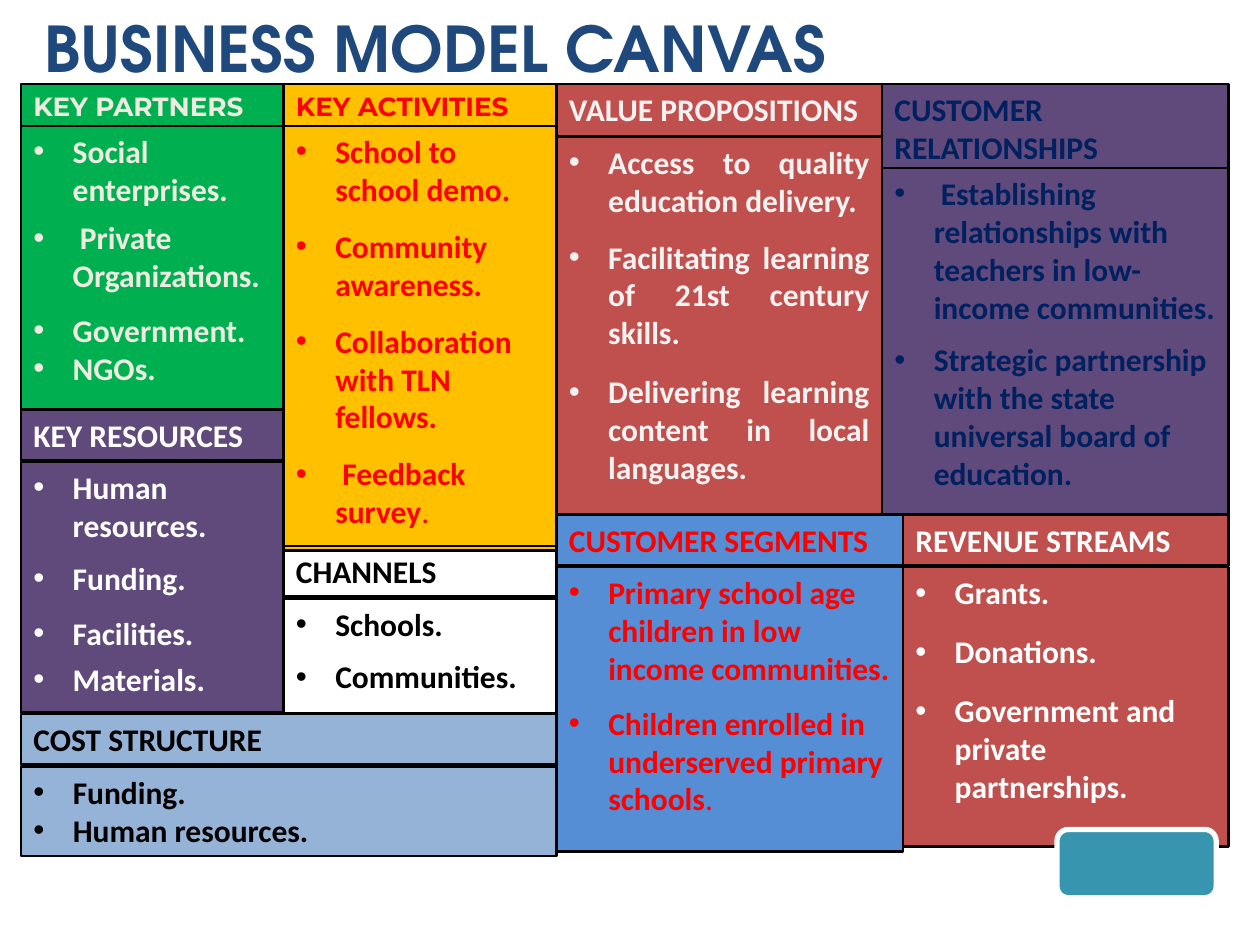
from pptx import Presentation
from pptx.dml.color import RGBColor
from pptx.enum import shapes, text
from pptx.oxml import parse_xml
from pptx.oxml import ns
from pptx.util import Pt

NAVY = RGBColor(0x1F, 0x49, 0x7D)
INK = RGBColor(0x00, 0x20, 0x60)
GREEN = RGBColor(0x00, 0xB0, 0x50)
GOLD = RGBColor(0xFF, 0xC0, 0x00)
BRICK = RGBColor(0xC0, 0x50, 0x4D)
PLUM = RGBColor(0x60, 0x4A, 0x7B)
BLUE = RGBColor(0x55, 0x8E, 0xD5)
SKY = RGBColor(0x95, 0xB3, 0xD7)
TEAL = RGBColor(0x37, 0x95, 0xAF)
CREAM = RGBColor(0xEE, 0xEC, 0xE1)
PALE = RGBColor(0xF2, 0xF2, 0xF2)
RED = RGBColor(0xFF, 0x00, 0x00)
WHITE = RGBColor(0xFF, 0xFF, 0xFF)
BLACK = RGBColor(0x00, 0x00, 0x00)

LEFT, JUST = text.PP_ALIGN.LEFT, text.PP_ALIGN.JUSTIFY
LEAD = 1.22
INDENT = Pt(22.5)
SERIF = ("Montserrat", 15)
PLAIN = ("Calibri", 18)

BLOCKS = [
    ((12, 48, 150, 199.7), 25, 24, GREEN, CREAM, "KEY PARTNERS", SERIF, LEFT, [
        (0, "Social enterprises."), (5, " Private Organizations."),
        (8, "Government."), (0, "NGOs.")]),
    ((162, 48, 156, 266.6), 25, 24, GOLD, RED, "KEY ACTIVITIES", SERIF, LEFT, [
        (0, "School to school demo."), (9, "Community awareness."),
        (9, "Collaboration with TLN fellows."), (9, " Feedback survey", ".")]),
    ((318, 48, 186, 247.4), 30, 30, BRICK, PALE, "VALUE PROPOSITIONS", PLAIN, JUST, [
        (0, "Access to quality education delivery."),
        (9, "Facilitating learning of 21st century skills."),
        (10, "Delivering learning content in local languages.")]),
    ((504, 48, 198, 251.8), 51, 48, PLUM, INK, "CUSTOMER RELATIONSHIPS", PLAIN, LEFT, [
        (0, " Establishing relationships with teachers in low-income communities."),
        (7, "Strategic partnership with the state universal board of education.")]),
    ((318, 294, 198, 192.7), 29, 30, BLUE, RED, "CUSTOMER SEGMENTS", PLAIN, LEFT, [
        (0, "Primary school age children in low income communities."),
        (8, "Children enrolled in underserved primary schools", ".")]),
    ((12, 234, 150, 173.3), 29, 30, PLUM, WHITE, "KEY RESOURCES", PLAIN, LEFT, [
        (0, "Human resources."), (7, "Funding."), (8, "Facilities."),
        (4, "Materials.")]),
    ((162, 312, 156, 95.5), 29, 30, None, BLACK, "CHANNELS", PLAIN, LEFT, [
        (0, "Schools."), (7, "Communities.")]),
    ((516, 294, 186, 189.8), 29, 30, BRICK, WHITE, "REVENUE STREAMS", PLAIN, LEFT, [
        (0, "Grants."), (10, "Donations."),
        (10, "Government and private partnerships.")]),
    ((12, 408, 306, 81.1), 29, 30, SKY, BLACK, "COST STRUCTURE", PLAIN, LEFT, [
        (0, "Funding."), (0, "Human resources.")]),
]


def add_run(para, words, face, color, bold=True):
    """Add one run in the given face, a pair of font name and size."""
    run = para.add_run()
    run.text = words
    run.font.name, run.font.size = face[0], Pt(face[1])
    run.font.bold = bold
    run.font.color.rgb = color


def add_panel(slide, box, fill, line=BLACK, width=1.5,
              kind=shapes.MSO_SHAPE.RECTANGLE):
    """Add an outlined panel with its text at the top, and return it."""
    panel = slide.shapes.add_shape(kind, *map(Pt, box))
    panel.shadow.inherit = False
    if fill is None:
        panel.fill.background()
    else:
        panel.fill.solid()
        panel.fill.fore_color.rgb = fill
    panel.line.color.rgb = line
    panel.line.width = Pt(width)
    panel.text_frame.word_wrap = True
    panel.text_frame.vertical_anchor = text.MSO_ANCHOR.TOP
    return panel


def add_bullet(para):
    """Give a paragraph a round bullet with a hanging indent."""
    props = para._p.get_or_add_pPr()
    props.set("marL", str(INDENT))
    props.set("indent", str(-INDENT))
    decl = ns.nsdecls("a")
    props.append(parse_xml(f'<a:buFont {decl} typeface="Arial"/>'))
    props.append(parse_xml(f'<a:buChar {decl} char="•"/>'))


def add_block(slide, box, tall, drop, fill, color, head, face, align, items):
    """Add a heading panel and the bulleted panel below it inside a box."""
    left, top, width, height = box
    panel = add_panel(slide, (left, top, width, tall), fill)
    para = panel.text_frame.paragraphs[0]
    para.alignment = LEFT
    add_run(para, head, face, color)

    panel = add_panel(slide, (left, top + drop, width, height - drop), fill)
    frame = panel.text_frame
    for num, (gap, words, *tail) in enumerate(items):
        para = frame.add_paragraph() if num else frame.paragraphs[0]
        para.alignment = align
        if gap:
            para.space_before = Pt(round(gap * LEAD, 1))
        add_bullet(para)
        add_run(para, words, PLAIN, color)
        for end in tail:
            add_run(para, end, PLAIN, color, False)


def add_title(slide, box, words):
    """Place and format the title placeholder."""
    title = slide.shapes.title
    title.left, title.top, title.width, title.height = map(Pt, box)
    frame = title.text_frame
    frame.word_wrap = True
    frame.auto_size = text.MSO_AUTO_SIZE.NONE
    frame.vertical_anchor = text.MSO_ANCHOR.MIDDLE
    para = frame.paragraphs[0]
    para.alignment = LEFT
    add_run(para, words, ("TeX Gyre Adventor", 36), NAVY)


def main():
    """Build the canvas slide and save it."""
    deck = Presentation()
    deck.slide_width, deck.slide_height = Pt(720), Pt(540)
    slide = deck.slides.add_slide(deck.slide_layouts[5])
    add_title(slide, (18, 12, 486, 30), "BUSINESS MODEL CANVAS")
    for block in BLOCKS:
        add_block(slide, *block)
    add_panel(slide, (604, 474, 91, 39), TEAL, WHITE, 3,
              shapes.MSO_SHAPE.ROUNDED_RECTANGLE)
    deck.save("out.pptx")


if __name__ == "__main__":
    main()
